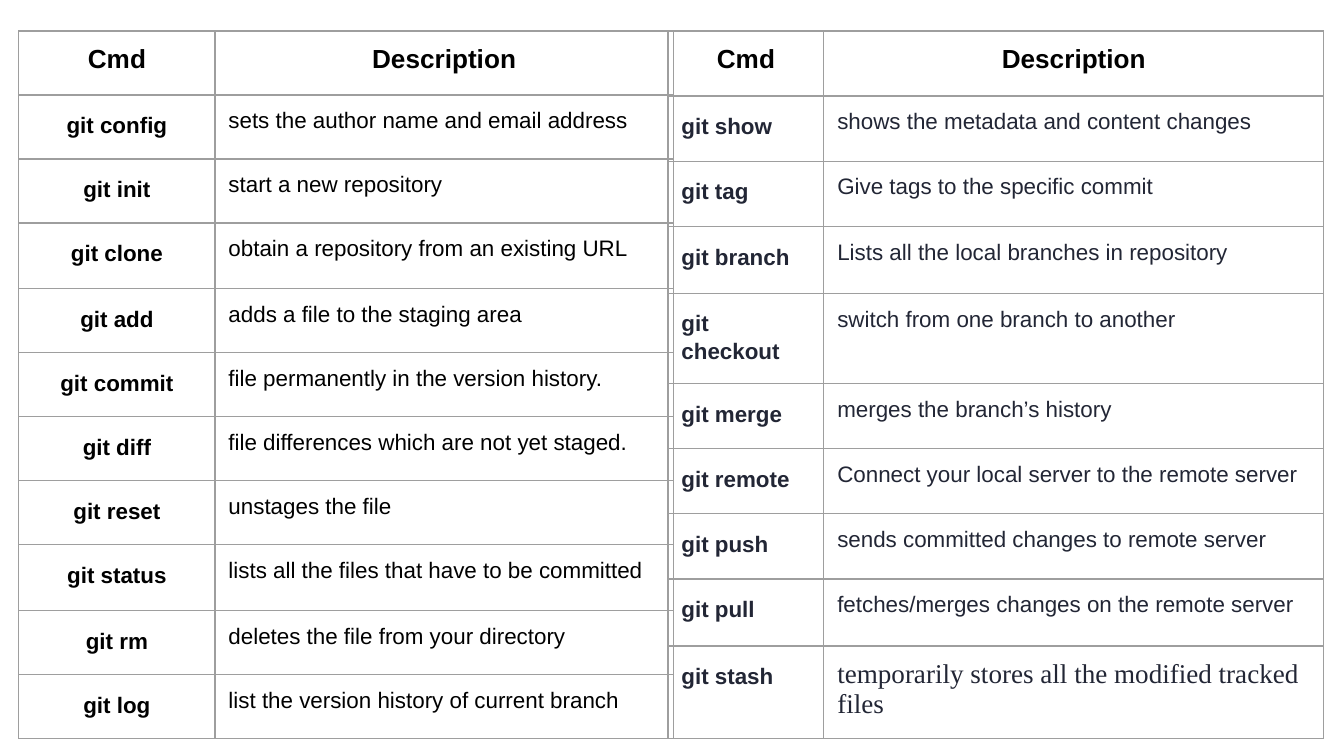
from lxml.etree import SubElement
from pptx import Presentation
from pptx.dml.color import RGBColor
from pptx.enum.text import PP_ALIGN
from pptx.oxml.ns import qn
from pptx.util import Inches, Pt

COLORS = {"black": "000000", "navy": "222635", "border": "9E9E9E"}
HEADER = ("Cmd", "Description")
TOP = 0.23
TABLE_HEIGHT = 5.27

BASIC_COMMANDS = {
    "left": 0.14,
    "columns": (1.46, 3.41),
    "tall_rows": {3: 0.49, 8: 0.49},
    "color": "black",
    "command_align": PP_ALIGN.CENTER,
    "rows": [
        ("git config", "sets the author name and email address"),
        ("git init", "start a new repository"),
        ("git clone", "obtain a repository from an existing URL"),
        ("git add", "adds a file to the staging area"),
        ("git commit", "file permanently in the version history."),
        ("git diff", "file differences which are not yet staged."),
        ("git reset", "unstages the file"),
        ("git status", "lists all the files that have to be committed"),
        ("git rm", "deletes the file from your directory"),
        ("git log", "list the version history of current branch"),
    ],
}
BRANCH_COMMANDS = {
    "left": 4.97,
    "columns": (1.16, 3.72),
    "tall_rows": {3: 0.5, 4: 0.67, 8: 0.5, 9: 0.69},
    "color": "navy",
    "command_align": PP_ALIGN.LEFT,
    "rows": [
        ("git show", "shows the metadata and content changes"),
        ("git tag", "Give tags to the specific commit"),
        ("git branch", "Lists all the local branches in repository"),
        ("git checkout", "switch from one branch to another"),
        ("git merge", "merges the branch’s history"),
        ("git remote", "Connect your local server to the remote server"),
        ("git push", "sends committed changes to remote server"),
        ("git pull", "fetches/merges changes on the remote server"),
        ("git stash", "temporarily stores all the modified tracked files"),
    ],
}
LINE_SPACING = {"git checkout": 1.15}
DESCRIPTION_FONTS = {"git stash": ("Times New Roman", 14.5)}


def add_borders(cell):
    properties = cell._tc.get_or_add_tcPr()
    for side in ("a:lnL", "a:lnR", "a:lnT", "a:lnB"):
        line = SubElement(properties, qn(side), w=str(Pt(0.75)))
        fill = SubElement(line, qn("a:solidFill"))
        SubElement(fill, qn("a:srgbClr"), val=COLORS["border"])


def fill_cell(cell, text, color, size, bold, align, spacing=None, font_name="Arial"):
    cell.margin_left = cell.margin_right = Inches(0.1)
    cell.margin_top = cell.margin_bottom = Inches(0.1)
    add_borders(cell)
    cell.fill.background()
    cell.text_frame.text = text
    paragraph = cell.text_frame.paragraphs[0]
    paragraph.alignment = align
    paragraph.line_spacing = spacing
    font = paragraph.runs[0].font
    font.name, font.size, font.bold = font_name, Pt(size), bold
    font.color.rgb = RGBColor.from_string(COLORS[color])


def row_heights(row_count, tall_rows):
    """Share what the tall rows leave of the table height among the others."""
    regular = (TABLE_HEIGHT - sum(tall_rows.values())) / (row_count - len(tall_rows))
    return [tall_rows.get(i, regular) for i in range(row_count)]


def add_command_table(slide, content):
    row_count = len(content["rows"]) + 1
    table = slide.shapes.add_table(
        row_count, len(HEADER), Inches(content["left"]), Inches(TOP),
        Inches(sum(content["columns"])), Inches(TABLE_HEIGHT)).table
    table.first_row = table.horz_banding = False
    for column, width in zip(table.columns, content["columns"]):
        column.width = Inches(width)
    for row, height in zip(table.rows, row_heights(row_count, content["tall_rows"])):
        row.height = Inches(height)

    for i, heading in enumerate(HEADER):
        fill_cell(table.cell(0, i), heading, "black", 14, True, PP_ALIGN.CENTER)
    for i, (command, description) in enumerate(content["rows"], start=1):
        fill_cell(table.cell(i, 0), command, content["color"], 12, True,
                  content["command_align"], LINE_SPACING.get(command, 1.2))
        font_name, size = DESCRIPTION_FONTS.get(command, ("Arial", 12))
        fill_cell(table.cell(i, 1), description, content["color"], size, False,
                  PP_ALIGN.LEFT, font_name=font_name)


def main():
    presentation = Presentation()
    presentation.slide_width = Inches(10)
    presentation.slide_height = presentation.slide_width * 9 // 16
    slide = presentation.slides.add_slide(presentation.slide_layouts[6])
    for content in (BASIC_COMMANDS, BRANCH_COMMANDS):
        add_command_table(slide, content)
    presentation.save("out.pptx")


if __name__ == "__main__":
    main()
